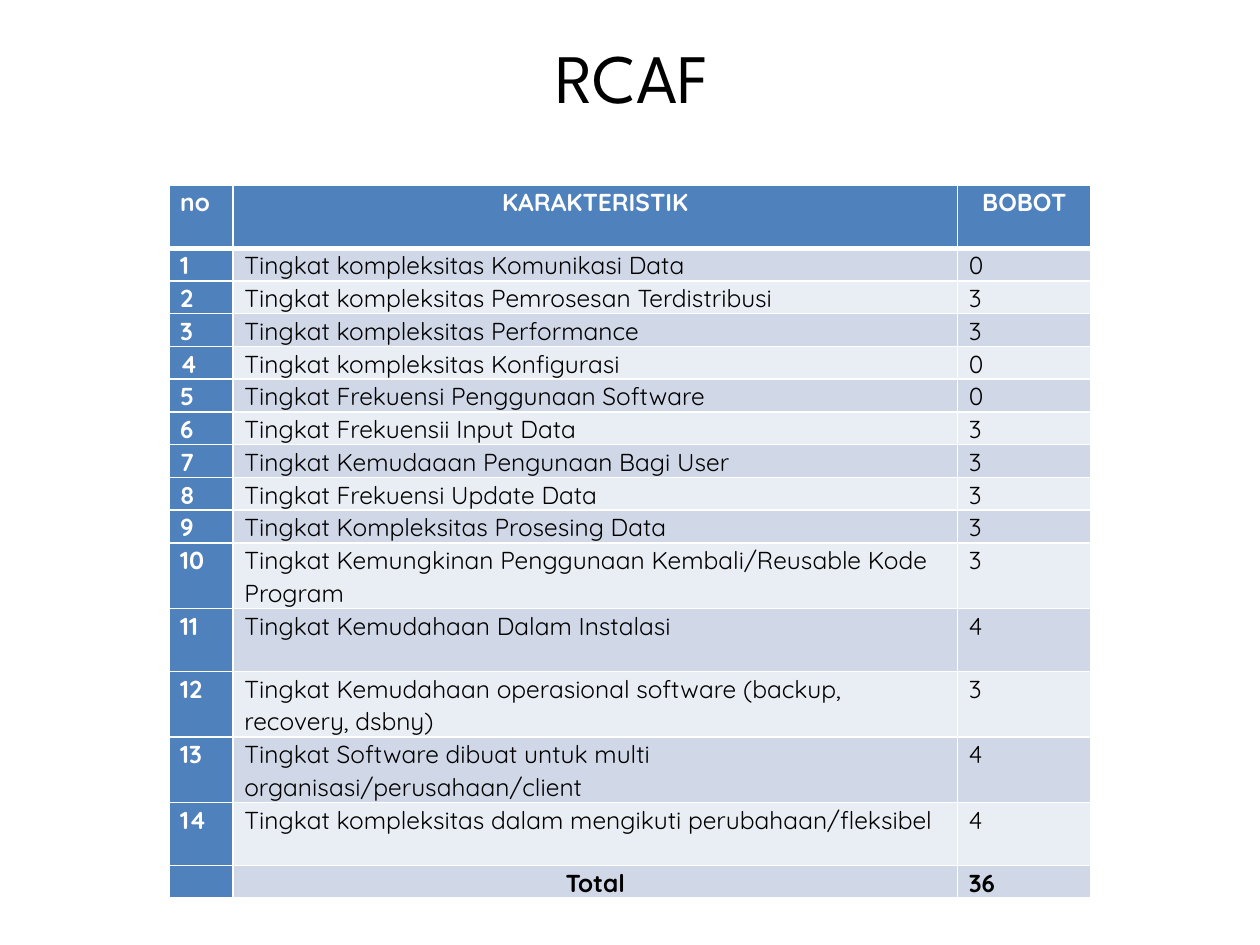
import pptx
import pptx.util
import pptx.dml.color
import pptx.enum.text
import pptx.oxml.ns
import lxml.etree
from dataclasses import dataclass

Inches = pptx.util.Inches
Pt = pptx.util.Pt
Align = pptx.enum.text.PP_ALIGN
Anchor = pptx.enum.text.MSO_ANCHOR


@dataclass(frozen=True)
class Theme:
    head: str = "League Spartan"
    body: str = "Quicksand"
    big: float = 39.6
    small: float = 14
    black: str = "000000"
    white: str = "FFFFFF"
    blue: str = "4F81BD"
    bands: tuple = ("E9EDF4", "D0D8E8")
    thin: float = 1
    thick: float = 3


THEME = Theme()
TITLE = "RCAF"
HEADS = ("no", "KARAKTERISTIK", "BOBOT")
ITEMS = (
    ("Tingkat kompleksitas Komunikasi Data", 0),
    ("Tingkat kompleksitas Pemrosesan Terdistribusi", 3),
    ("Tingkat kompleksitas Performance", 3),
    ("Tingkat kompleksitas Konfigurasi", 0),
    ("Tingkat Frekuensi Penggunaan Software", 0),
    ("Tingkat Frekuensii Input Data", 3),
    ("Tingkat Kemudaaan Pengunaan Bagi User", 3),
    ("Tingkat Frekuensi Update Data", 3),
    ("Tingkat Kompleksitas Prosesing Data", 3),
    ("Tingkat Kemungkinan Penggunaan Kembali/Reusable Kode Program", 3),
    ("Tingkat Kemudahaan Dalam Instalasi", 4),
    ("Tingkat Kemudahaan operasional software (backup, recovery, dsbny)", 3),
    ("Tingkat Software dibuat untuk multi organisasi/perusahaan/client", 4),
    ("Tingkat kompleksitas dalam mengikuti perubahaan/fleksibel", 4),
)
WIDTHS = (0.51, 5.75, 1.06)
LINE, TALL = 0.26, 0.5
TALL_ROWS = (0, 11, 14)
WRAP_ROWS = (10, 12, 13)


def rgb(code):
    return pptx.dml.color.RGBColor.from_string(code)


def style(para, face, size, color, bold=False, align=Align.LEFT):
    para.alignment = align
    font = para.font
    font.name, font.size, font.bold = face, Pt(size), bold
    font.color.rgb = rgb(color)


def add_title(slide):
    box = slide.shapes.add_textbox(Inches(0.52), Inches(0.21), Inches(9), Inches(0.79))
    frame = box.text_frame
    frame.word_wrap = True
    frame.vertical_anchor = Anchor.MIDDLE
    para = frame.paragraphs[0]
    para.text = TITLE
    style(para, THEME.head, THEME.big, THEME.black, align=Align.CENTER)


def edge(cell, side, width):
    qn = pptx.oxml.ns.qn
    props = cell._tc.get_or_add_tcPr()
    line = lxml.etree.SubElement(props, qn(f"a:ln{side}"), w=str(Pt(width)))
    fill = lxml.etree.SubElement(line, qn("a:solidFill"))
    lxml.etree.SubElement(fill, qn("a:srgbClr"), val=THEME.white)


def fill_cell(cell, text, row, col, last):
    # Borders must precede the fill in the cell properties.
    for side in "LRTB":
        heavy = (side, row) in (("B", 0), ("T", 1))
        edge(cell, side, THEME.thick if heavy else THEME.thin)
    solid = row == 0 or col == 0
    cell.fill.solid()
    cell.fill.fore_color.rgb = rgb(THEME.blue if solid else THEME.bands[row % 2])
    cell.margin_left = cell.margin_right = Inches(0.09)
    cell.margin_top = cell.margin_bottom = 0

    para = cell.text_frame.paragraphs[0]
    mid = (row == 0 and col > 0) or (row == last and col == 1)
    style(para, THEME.body, THEME.small, THEME.white if solid else THEME.black,
          solid or row == last, Align.CENTER if mid else Align.LEFT)
    if text:
        para.text = text
        para.line_spacing = 1.07
    else:
        # An empty paragraph takes its height from its end mark.
        lxml.etree.SubElement(para._p, pptx.oxml.ns.qn("a:endParaRPr"),
                              sz=str(THEME.small * 100))


def row_high(row):
    if row in TALL_ROWS:
        return TALL
    return 2 * LINE if row in WRAP_ROWS else LINE


def add_grid(slide):
    total = sum(score for _, score in ITEMS)
    rows = [HEADS]
    rows += [(str(n), name, str(score)) for n, (name, score) in enumerate(ITEMS, 1)]
    rows.append(("", "Total", str(total)))
    last = len(rows) - 1
    highs = [row_high(n) for n in range(len(rows))]

    table = slide.shapes.add_table(
        len(rows), len(WIDTHS), Inches(1.34), Inches(1.47),
        Inches(sum(WIDTHS)), Inches(sum(highs))).table
    for column, width in zip(table.columns, WIDTHS):
        column.width = Inches(width)
    for r, (texts, high) in enumerate(zip(rows, highs)):
        table.rows[r].height = Inches(high)
        for c, text in enumerate(texts):
            fill_cell(table.cell(r, c), text, r, c, last)


def main():
    deck = pptx.Presentation()
    deck.slide_width, deck.slide_height = Inches(10), Inches(7.5)
    slide = deck.slides.add_slide(deck.slide_layouts[6])
    add_title(slide)
    add_grid(slide)
    deck.save("out.pptx")


if __name__ == "__main__":
    main()
